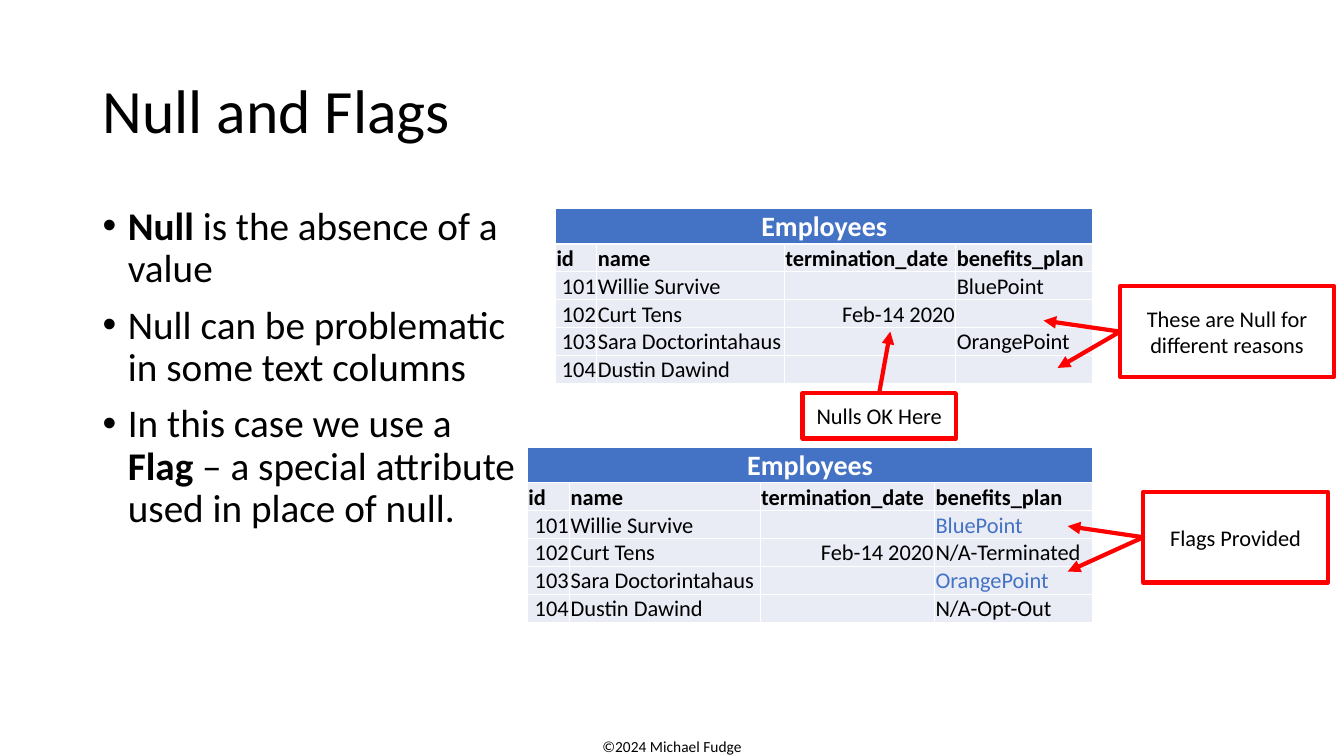
from dataclasses import dataclass

from lxml.etree import SubElement
from pptx import Presentation
from pptx.dml.color import RGBColor
from pptx.enum.shapes import MSO_CONNECTOR, MSO_SHAPE
from pptx.enum.text import MSO_ANCHOR, PP_ALIGN
from pptx.oxml.ns import qn
from pptx.util import Pt

PX = 9144  # 100 px to the inch


@dataclass(frozen=True)
class Theme:
    font: str = "Calibri"
    black: RGBColor = RGBColor(0, 0, 0)
    white: RGBColor = RGBColor(255, 255, 255)
    blue: RGBColor = RGBColor(0x44, 0x72, 0xC4)
    pale: RGBColor = RGBColor(0xE9, 0xEB, 0xF5)
    red: RGBColor = RGBColor(255, 0, 0)
    title: int = 44
    body: int = 28
    caption: int = 20
    label: int = 16
    footer: int = 11


theme = Theme()


def style(paragraph, size, color=theme.black, bold=False, align=PP_ALIGN.LEFT):
    paragraph.alignment = align
    for run in paragraph.runs:
        run.font.name = theme.font
        run.font.size = Pt(size)
        run.font.color.rgb = color
        run.font.bold = bold


def text_frame_at(left, top, width, height):
    frame = slide.shapes.add_textbox(left * PX, top * PX, width * PX, height * PX).text_frame
    frame.word_wrap = True
    return frame


presentation = Presentation()
presentation.slide_width = 1333 * PX
presentation.slide_height = 750 * PX
slide = presentation.slides.add_slide(presentation.slide_layouts[6])

# Footer and title
footer = text_frame_at(567, 726, 199, 29)
footer.text = "©2024 Michael Fudge"
style(footer.paragraphs[0], theme.footer, align=PP_ALIGN.CENTER)

title = text_frame_at(92, 40, 1150, 145)
title.text = "Null and Flags"
title.vertical_anchor = MSO_ANCHOR.MIDDLE
title.paragraphs[0].line_spacing = 0.9
style(title.paragraphs[0], theme.title)

# Bullets, as (text, bold) pieces
bullets = [
    [("Null ", True), ("is the absence of a value", False)],
    [("Null can be problematic in some text columns", False)],
    [("In this case we use a ", False), ("Flag", True),
     (" – a special attribute used in place of null.", False)],
]
body = text_frame_at(92, 200, 431, 467)
for index, pieces in enumerate(bullets):
    bullet = body.add_paragraph() if index else body.paragraphs[0]
    for words, _ in pieces:
        bullet.add_run().text = words
    style(bullet, theme.body)
    for run, (_, bold) in zip(bullet.runs, pieces):
        run.font.bold = bold
    bullet.line_spacing = 0.9
    bullet.space_before = Pt(10)
    properties = bullet._p.get_or_add_pPr()
    properties.set("marL", str(25 * PX))
    properties.set("indent", str(-25 * PX))
    SubElement(properties, qn("a:buFont"), typeface="Arial")
    SubElement(properties, qn("a:buChar"), char="•")

# Employee tables: without and with flags
header = ["id", "name", "termination_date", "benefits_plan"]
employees = [
    ["101", "Willie Survive", "", "BluePoint"],
    ["102", "Curt Tens", "Feb-14 2020", ""],
    ["103", "Sara Doctorintahaus", "", "OrangePoint"],
    ["104", "Dustin Dawind", "", ""],
]
flags = {"102": "N/A-Terminated", "104": "N/A-Opt-Out"}
flagged = [[*row[:3], flags.get(row[0], row[3])] for row in employees]
tables = [
    (551, 207, [41, 186, 170, 136], employees, theme.black),
    (523, 444, [42, 189, 173, 157], flagged, theme.blue),
]
row_heights = [35] + [27] * 5
right_aligned = {"id", "termination_date"}

for left, top, widths, records, plan_color in tables:
    table = slide.shapes.add_table(
        len(row_heights), len(header), left * PX, top * PX,
        sum(widths) * PX, sum(row_heights) * PX).table
    table.horz_banding = False
    for column, width in zip(table.columns, widths):
        column.width = width * PX
    for row, height in zip(table.rows, row_heights):
        row.height = height * PX
    table.cell(0, 0).merge(table.cell(0, len(header) - 1))

    for r, values in enumerate([["Employees", "", "", ""], header, *records]):
        for c, value in enumerate(values):
            cell = table.cell(r, c)
            cell.text = value
            cell.vertical_anchor = MSO_ANCHOR.BOTTOM
            cell.margin_left = cell.margin_right = cell.margin_top = PX
            cell.margin_bottom = 0
            for side in ("a:lnL", "a:lnR", "a:lnT", "a:lnB"):
                border = SubElement(cell._tc.get_or_add_tcPr(), qn(side), w=str(Pt(1)))
                SubElement(SubElement(border, qn("a:solidFill")), qn("a:srgbClr"),
                           val=str(theme.white))
            cell.fill.solid()
            cell.fill.fore_color.rgb = theme.pale if r else theme.blue

            paragraph = cell.text_frame.paragraphs[0]
            if r == 0:
                style(paragraph, theme.caption, theme.white, True, PP_ALIGN.CENTER)
            elif r == 1:
                style(paragraph, theme.label, bold=True)
            else:
                is_plan = value in ("BluePoint", "OrangePoint")
                style(paragraph, theme.label, plan_color if is_plan else theme.black,
                      align=PP_ALIGN.RIGHT if header[c] in right_aligned else PP_ALIGN.LEFT)
            if not value:
                SubElement(paragraph._p, qn("a:endParaRPr"), sz=str(theme.label * 100))

# Callouts: box, words, connection site (0 top, 1 left), arrow targets
callouts = [
    ((1111, 284, 212, 90), "These are Null for different reasons", 1, [(1035, 318), (1049, 365)]),
    ((1134, 488, 183, 90), "Flags Provided", 1, [(1059, 522), (1059, 567)]),
    ((796, 390, 152, 45), "Nulls OK Here", 0, [(883, 329)]),
]
for box, words, site, targets in callouts:
    group = slide.shapes.add_group_shape()
    callout = group.shapes.add_shape(MSO_SHAPE.RECTANGLE, *(length * PX for length in box))
    callout.shadow.inherit = False
    callout.fill.solid()
    callout.fill.fore_color.rgb = theme.white
    callout.line.color.rgb = theme.red
    callout.line.width = Pt(3)
    callout.text_frame.text = words
    callout.text_frame.word_wrap = True
    callout.text_frame.vertical_anchor = MSO_ANCHOR.MIDDLE
    style(callout.text_frame.paragraphs[0], theme.label, align=PP_ALIGN.CENTER)

    left, top, width, height = box
    start_x, start_y = (left, top + height // 2) if site else (left + width // 2, top)
    for x, y in targets:
        arrow = group.shapes.add_connector(
            MSO_CONNECTOR.STRAIGHT, start_x * PX, start_y * PX, x * PX, y * PX)
        arrow.begin_connect(callout, site)
        arrow.line.color.rgb = theme.red
        arrow.line.width = Pt(3)
        SubElement(arrow.line._get_or_add_ln(), qn("a:tailEnd"), type="triangle")
        SubElement(arrow._element.spPr, qn("a:effectLst"))

presentation.save("out.pptx")
